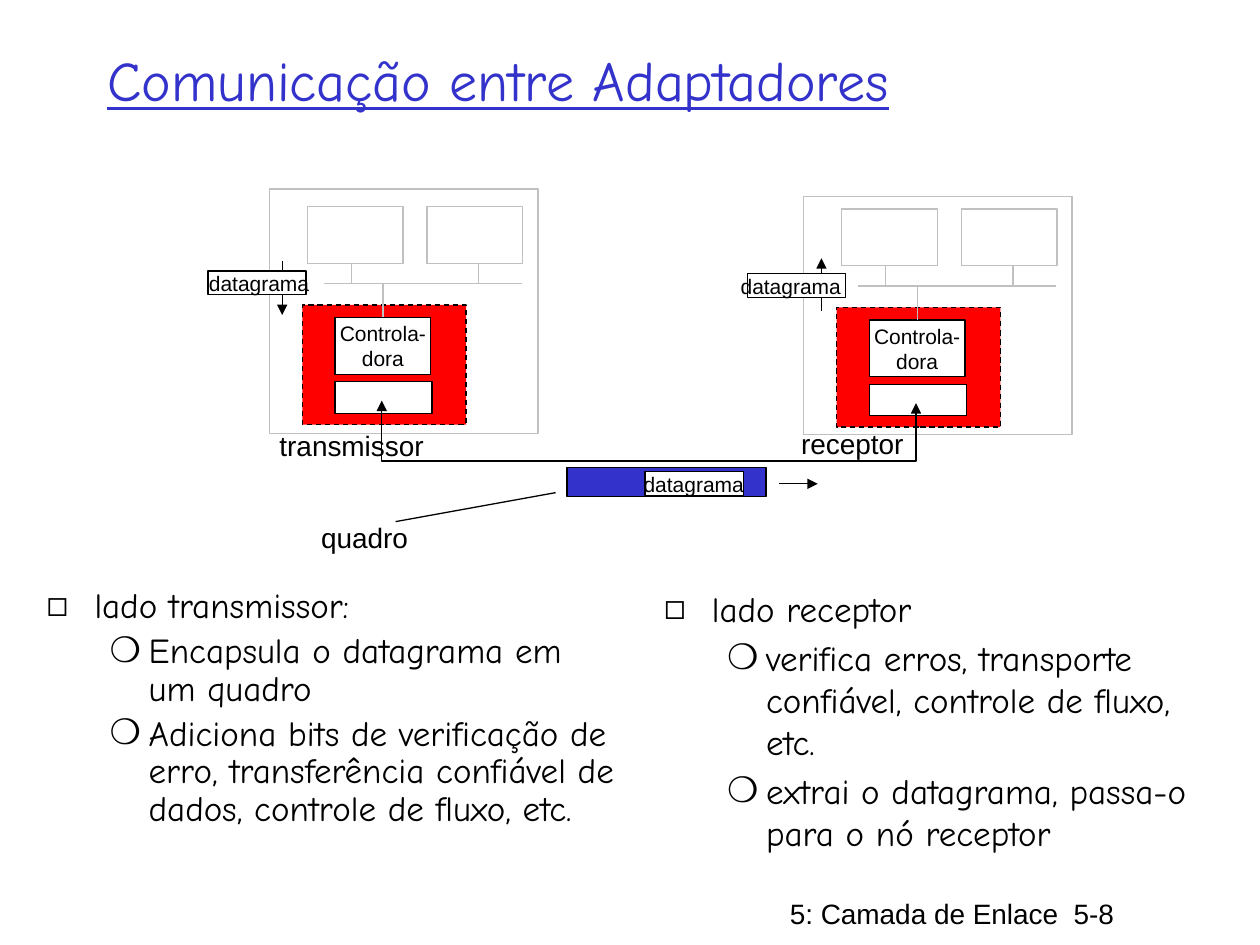
from lxml.etree import SubElement
from pptx import Presentation
from pptx.dml.color import RGBColor
from pptx.enum.dml import MSO_LINE_DASH_STYLE as Dash
from pptx.enum.shapes import MSO_CONNECTOR as Connector, MSO_SHAPE as Shape
from pptx.enum.text import MSO_ANCHOR as Anchor, MSO_AUTO_SIZE as AutoSize, PP_ALIGN as Align
from pptx.oxml.ns import qn
from pptx.util import Inches, Pt

COLORS = {"black": "000000", "white": "FFFFFF", "gray": "C0C0C0",
          "blue": "3333CC", "red": "FF0000"}
BULLETS = [("◻", 0.38, -0.38), ("❍", 0.81, -0.31)]

SENDER_POINTS = [
    (0, "lado transmissor:"),
    (1, "Encapsula o datagrama em um quadro"),
    (1, "Adiciona bits de verificação de erro, transferência confiável de dados, "
        "controle de fluxo, etc."),
]
RECEIVER_POINTS = [
    (0, "lado receptor"),
    (1, "verifica erros, transporte confiável, controle de fluxo, etc."),
    (1, "extrai o datagrama, passa-o para o nó receptor"),
]


def rgb(name):
    return RGBColor.from_string(COLORS[name])


class SlideBuilder:
    """Holds the slide and its common look; one method per kind of element."""

    label_font, heading_font = "Arial", "Comic Neue"
    line_width = Pt(0.75)

    def __init__(self, slide):
        self.slide = slide
        self.shapes = slide.shapes

    def format_font(self, paragraph, size, name, color="black", **extra):
        values = {"size": Pt(size), "name": name, **extra}
        for key, value in values.items():
            setattr(paragraph.font, key, value)
        paragraph.font.color.rgb = rgb(color)

    def place(self, shape, left, top, width, height):
        box = {"left": left, "top": top, "width": width, "height": height}
        for key, value in box.items():
            setattr(shape, key, Inches(value))

    def outline(self, shape, color, arrows=()):
        shape.line.color.rgb = rgb(color)
        shape.line.width = self.line_width
        for end in arrows:
            SubElement(shape.line._get_or_add_ln(), qn(f"a:{end}End"), type="triangle")

    def title(self, text, *box):
        title = self.shapes.title
        self.place(title, *box)
        frame = title.text_frame
        frame.text = text
        frame.vertical_anchor = Anchor.MIDDLE
        frame.paragraphs[0].alignment = Align.LEFT
        self.format_font(frame.paragraphs[0], 32, self.heading_font, "blue", underline=True)

    def bullets(self, index, points, *box, line_spacing=1.0):
        body = self.slide.placeholders[index]
        self.place(body, *box)
        frame = body.text_frame
        frame.auto_size = AutoSize.NONE
        frame.text = "\n".join(text for _, text in points)
        for paragraph, (level, _) in zip(frame.paragraphs, points):
            char, margin, indent = BULLETS[level]
            paragraph.level = level
            paragraph.line_spacing = line_spacing
            paragraph.space_before = Pt(4)
            self.format_font(paragraph, 20, self.heading_font)
            props = paragraph._p.get_or_add_pPr()
            props.set("marL", str(Inches(margin)))
            props.set("indent", str(Inches(indent)))
            bullet = SubElement(props, qn("a:buChar"), char=char)
            props.remove(bullet)
            # Bullets come before the default run properties in a:pPr
            props.insert_element_before(bullet, "a:tabLst", "a:defRPr", "a:extLst")

    def rect(self, left, top, width, height, fill="white", line="black", text="", dashed=False):
        box = self.shapes.add_shape(
            Shape.RECTANGLE, Inches(left), Inches(top), Inches(width), Inches(height))
        box.shadow.inherit = False
        box.fill.solid()
        box.fill.fore_color.rgb = rgb(fill)
        self.outline(box, line)
        if dashed:
            box.line.dash_style = Dash.DASH
        if text:
            frame = box.text_frame
            frame.text = text
            frame.word_wrap = False
            frame.vertical_anchor = Anchor.MIDDLE
            for paragraph in frame.paragraphs:
                paragraph.alignment = Align.CENTER
                self.format_font(paragraph, 12, self.label_font)
        return box

    def label(self, text, left, top, width, height=0.37, size=16):
        box = self.shapes.add_textbox(
            Inches(left), Inches(top), Inches(width), Inches(height))
        box.text_frame.text = text
        box.text_frame.word_wrap = False
        self.format_font(box.text_frame.paragraphs[0], size, self.label_font)

    def line(self, x1, y1, x2, y2, color="black", arrows=()):
        line = self.shapes.add_connector(
            Connector.STRAIGHT, Inches(x1), Inches(y1), Inches(x2), Inches(y2))
        self.outline(line, color, arrows)
        SubElement(line._element.spPr, qn("a:effectLst"))
        return line

    def link(self, points):
        """Open polyline with an arrowhead at both ends."""
        (x, y), *rest = [(Inches(x), Inches(y)) for x, y in points]
        builder = self.shapes.build_freeform(x, y)
        builder.add_line_segments(rest, close=False)
        link = builder.convert_to_shape()
        link.shadow.inherit = False
        link.fill.background()
        self.outline(link, "black", ("head", "tail"))

    def datagram(self, left, top, text_left):
        self.rect(left, top, 0.78, 0.19)
        self.label("datagrama", text_left, top - 0.05, 1, 0.3, size=12)

    def station(self, left, top, outer_top, outer_height):
        """Host with two upper blocks on a bus above its network adapter."""
        self.rect(left, outer_top, 2.13, outer_height, line="gray")
        self.rect(left + 0.26, top + 0.78, 1.3, 0.95, fill="red", dashed=True)
        self.rect(left + 0.52, top + 1.39, 0.77, 0.25)
        controller = self.rect(left + 0.52, top + 0.88, 0.76, 0.45, text="Controla-\ndora")
        bus_y = top + 0.61
        self.line(left + 0.43, bus_y, left + 2, bus_y, "gray")
        stem_x = left + 0.9
        stem = self.line(stem_x, top + 0.88, stem_x, bus_y, "gray")
        stem.begin_connect(controller, 0)
        for block_x, tap_x in ((0.3, 0.65), (1.25, 1.66)):
            self.rect(left + block_x, top, 0.76, 0.45, line="gray")
            self.line(left + tap_x, bus_y, left + tap_x, top + 0.45, "gray")


def main():
    prs = Presentation()
    prs.slide_width, prs.slide_height = Inches(10), Inches(7.5)
    page = SlideBuilder(prs.slides.add_slide(prs.slide_layouts[3]))

    page.label("5: Camada de Enlace  5-8", 6.17, 7.07, 3.83)
    page.title("Comunicação entre Adaptadores", 0.75, 0.17, 8.5, 0.92)
    page.bullets(1, SENDER_POINTS, 0.27, 4.62, 4.73, 2.21, line_spacing=0.9)
    page.bullets(2, RECEIVER_POINTS, 5.17, 4.61, 4.47, 2.21)

    page.station(2.14, 1.64, 1.5, 1.94)
    page.station(6.38, 1.66, 1.56, 1.89)
    page.label("transmissor", 2.12, 3.35, 1.36)
    page.label("receptor", 6.26, 3.34, 1.03)

    page.line(2.24, 2.07, 2.24, 2.5, arrows=["tail"])
    page.datagram(1.65, 2.15, 1.56)
    page.line(6.52, 2.05, 6.52, 2.47, arrows=["head"])
    page.datagram(5.93, 2.17, 5.78)

    page.link([(3.03, 3.18), (3.03, 3.66), (7.27, 3.66), (7.27, 3.2)])
    page.rect(4.5, 3.71, 1.58, 0.23, fill="blue")
    page.datagram(5.12, 3.74, 5.01)
    page.line(6.18, 3.84, 6.49, 3.84, arrows=["tail"])
    page.label("quadro", 2.45, 4.08, 0.9)
    page.line(3.14, 4.14, 4.41, 3.91)

    prs.save("out.pptx")


if __name__ == "__main__":
    main()
